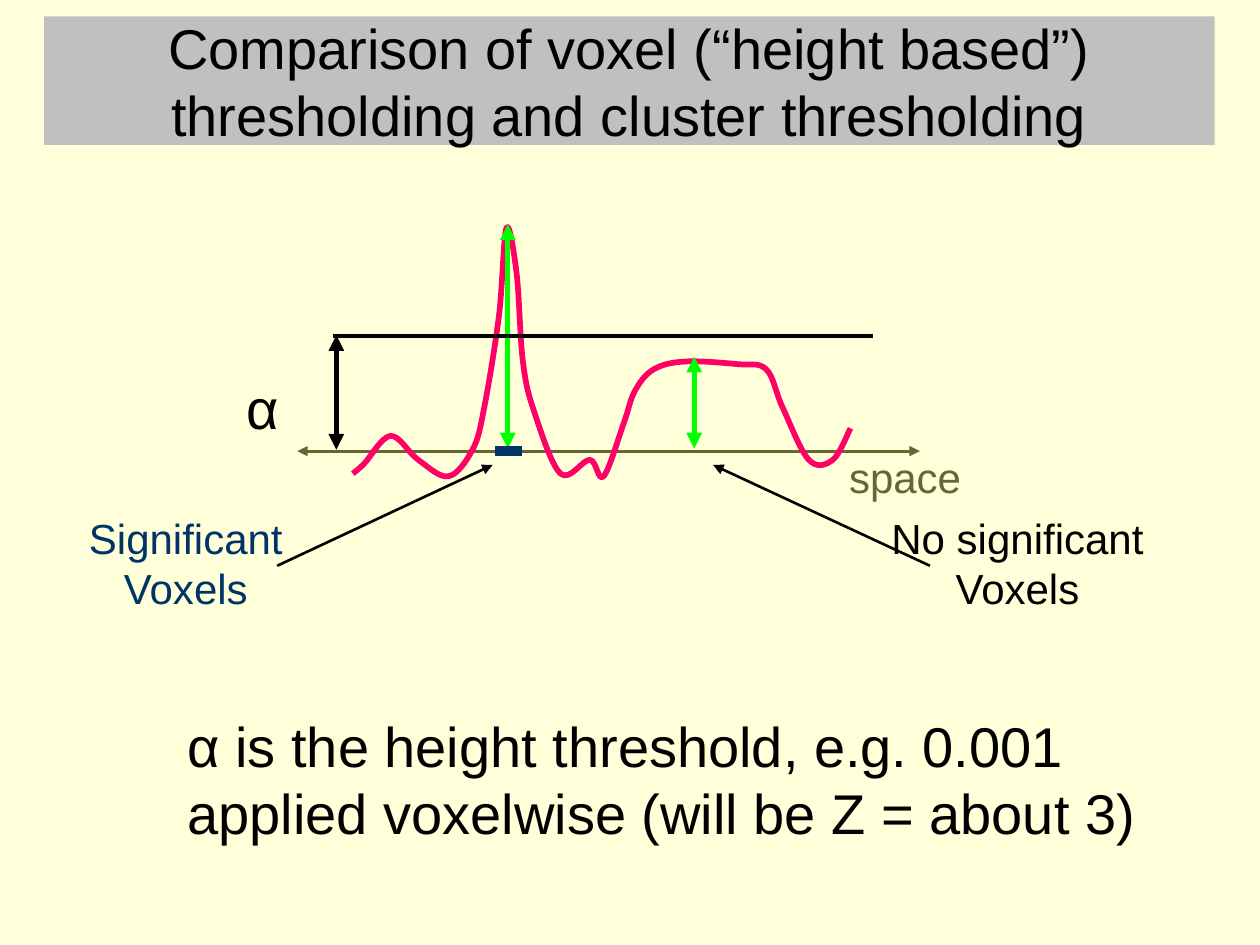
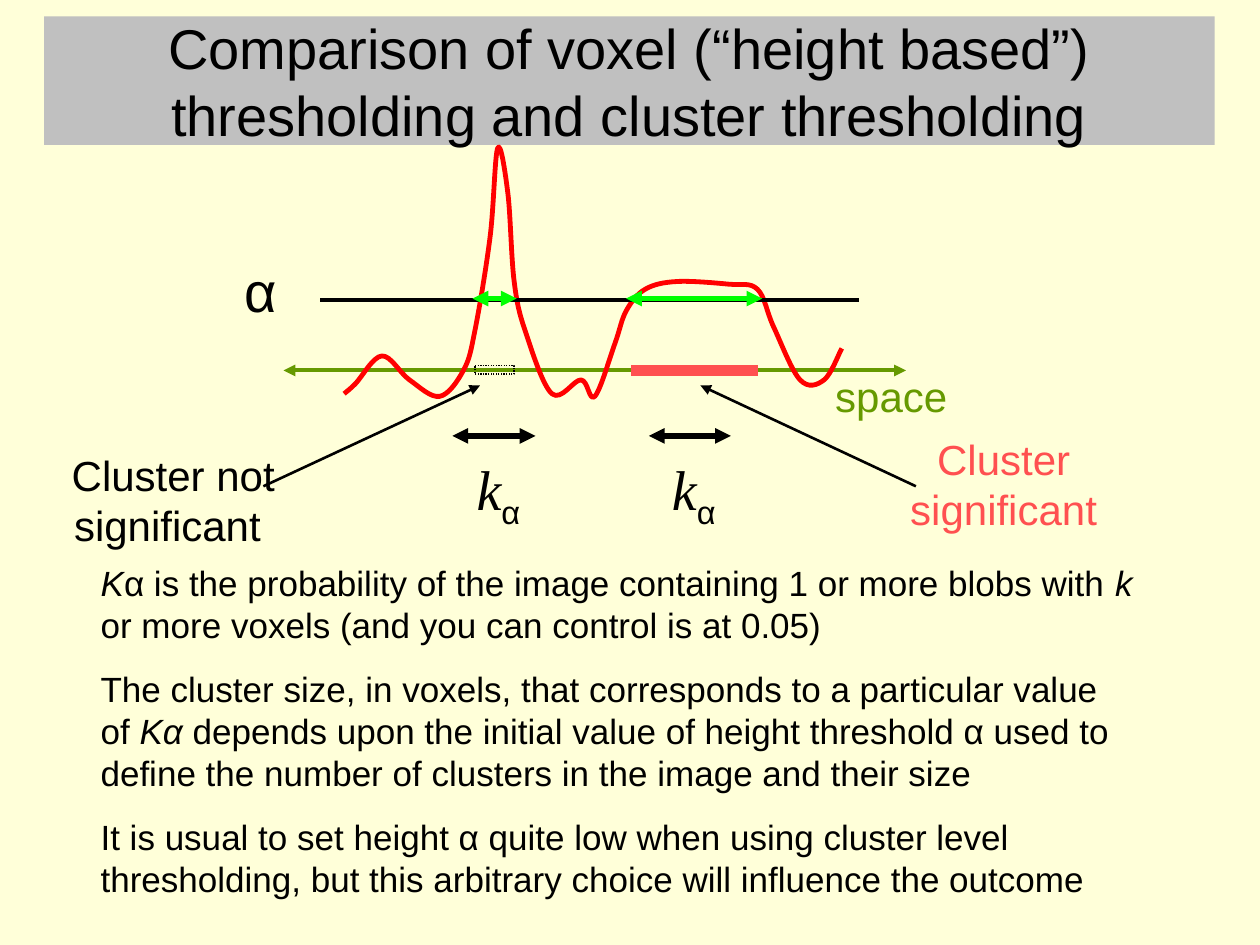
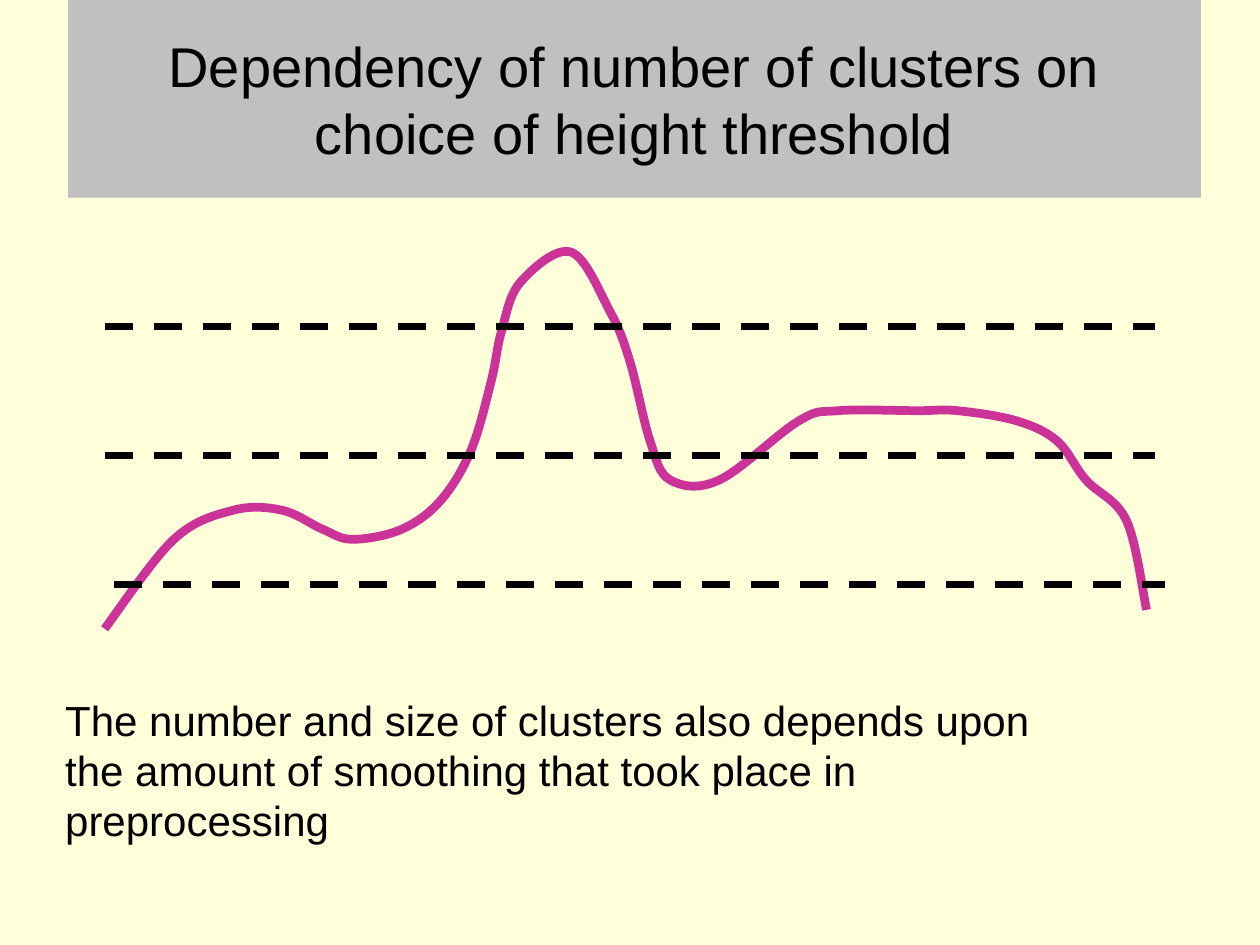
import pptx
import pptx.dml.color
import pptx.enum.dml
import pptx.enum.shapes
import pptx.enum.text
import pptx.oxml
import pptx.oxml.ns
import pptx.util

Pt = pptx.util.Pt
Dash = pptx.enum.dml.MSO_LINE
Align = pptx.enum.text.PP_ALIGN

CREAM, SILVER, BLACK, GREEN = "FFFFD9", "C0C0C0", "000000", "00FF00"
NAVY, OLIVE, LEAF, CORAL = "003366", "666633", "669900", "FF5050"
PINK, RED, PURPLE = "FF0066", "FF0000", "CC3399"

LEFT, CENTER = Align.LEFT, Align.CENTER
BOTH, END, NONE = ("headEnd", "tailEnd"), ("tailEnd",), ()

RUN_STYLES = {
    "italic": {"italic": True},
    "variable": {"italic": True, "name": "Times New Roman"},
    "subscript": {"baseline": "-25000"},
}

SIGNAL = [
    (201.6, 270.7), (208.1, 265), (223.2, 249.1), (239, 262.8), (256.3, 272.2),
    (270, 257), (276.5, 234), (285.1, 180.7), (289.4, 130.3), (295.2, 156.2),
    (298.8, 206.6), (305.3, 235.4), (320.4, 270.7), (337, 262.8), (344.9, 272.2),
    (356.4, 241.9), (362.9, 223.2), (373.7, 211), (391.7, 206.6), (421.2, 208.1),
    (437.8, 211), (447.1, 232.6), (462.2, 262.8), (475.9, 262.8), (486, 244.8),
]
SMOOTH_SIGNAL = [
    (59.8, 359.3), (99.4, 308.2), (133.2, 291.6), (161.3, 291.6), (184.3, 302.4),
    (201.6, 308.2), (229.7, 302.4), (252, 285.8), (269.3, 257), (280.8, 217.4),
    (286.6, 189.4), (297.4, 161.3), (326.2, 144), (348.5, 177.8), (360, 206.6),
    (371.5, 252), (383, 274.3), (411.1, 274.3), (456.5, 240.5), (478.8, 234.7),
    (524.2, 234.7), (547.2, 234.7), (581, 240.5), (604.1, 252), (620.6, 274.3),
    (643.7, 297.4), (655.2, 348.5),
]
COMPARISON = "Comparison of voxel (“height based”) thresholding and cluster thresholding"
COMPARISON_BAND = (25.2, 9.4, 668.9, 73.4)
K_ALPHA = [("k", "variable"), ("α", "subscript")]

# Lines: start x, start y, end x, end y, colour, width, arrowheads
# Texts: left, top, width, height, size, colour, alignment, space before, paragraphs
PAGES = [
    {
        "title": COMPARISON,
        "band": COMPARISON_BAND,
        "lines_below": [
            (158.4, 323.3, 281.5, 265.7, BLACK, 1.5, END),
            (169.9, 257.8, 525.6, 257.8, OLIVE, 1.75, BOTH),
        ],
        "curve": (SIGNAL, 0, 0, PINK, 3.25),
        "lines_above": [
            (290.2, 256.3, 290.2, 128.2, GREEN, 3, BOTH),
            (396.7, 256.3, 396.7, 203.8, GREEN, 3, BOTH),
            (190.1, 192.2, 499, 192.2, BLACK, 2.25, NONE),
            (283, 257.8, 298.1, 257.8, NAVY, 6, NONE),
            (531.4, 323.3, 407.5, 265.7, BLACK, 1.5, END),
            (192.2, 257, 192.2, 191.5, BLACK, 3, BOTH),
        ],
        "texts": [
            (25.9, 289.4, 160.6, 64.8, 24, NAVY, CENTER, 15, ["Significant Voxels"]),
            (478.1, 254.2, 97.9, 36, 24, OLIVE, LEFT, 15, ["space"]),
            (120.2, 210.2, 59.8, 46.1, 32, BLACK, CENTER, 20, ["α"]),
            (501.1, 289.4, 160.6, 64.8, 24, BLACK, CENTER, 15,
             ["No significant Voxels"]),
            (100.1, 403.2, 604.1, 84.2, 32, BLACK, LEFT, 20,
             ["α is the height threshold, e.g. 0.001 applied voxelwise "
              "(will be Z = about 3)"]),
        ],
    },
    {
        "title": COMPARISON,
        "band": COMPARISON_BAND,
        "lines_below": [
            (150.5, 277.9, 274.3, 220.3, BLACK, 1.5, END),
            (162, 211.7, 517.7, 211.7, LEAF, 2.25, BOTH),
        ],
        "curve": (SIGNAL, -5, -45.7, RED, 2.75),
        "lines_above": [
            (182.9, 171.4, 491, 171.4, BLACK, 2.75, NONE),
            (295.2, 170.6, 270, 170.6, GREEN, 3, BOTH),
            (435.6, 170.6, 357.8, 170.6, GREEN, 3, BOTH),
            (523.4, 277.9, 400.3, 220.3, BLACK, 1.5, END),
            (258.5, 249.1, 306, 249.1, BLACK, 3, BOTH),
            (360.7, 211.7, 433.4, 211.7, CORAL, 6, NONE),
            (370.8, 249.1, 417.6, 249.1, BLACK, 3, BOTH),
        ],
        "dotted_box": (271.4, 208.8, 22.3, 5),
        "texts": [
            (18.7, 253.4, 160.6, 64.8, 24, BLACK, CENTER, 12.5,
             ["Cluster not significant "]),
            (470.2, 208.1, 97.9, 36, 24, LEAF, LEFT, 15, ["space"]),
            (493.2, 244.1, 160.6, 64.8, 24, CORAL, CENTER, 15, ["Cluster significant"]),
            (254.9, 256.3, 59.8, 51.1, 32, BLACK, CENTER, 20, [K_ALPHA]),
            (366.5, 256.3, 59.8, 51.1, 32, BLACK, CENTER, 20, [K_ALPHA]),
            (118.8, 143.3, 59.8, 46.1, 32, BLACK, CENTER, 20, ["α"]),
            (50.4, 317.5, 604.1, 236.9, 20, BLACK, LEFT, 12.5, [
                [("K", "italic"),
                 ("α is the probability of the image containing 1 or more blobs with ", ""),
                 ("k", "italic"),
                 (" or more voxels (and you can control is at 0.05)", "")],
                [("The cluster size, in voxels, that corresponds to a particular "
                  "value of ", ""),
                 ("Kα ", "italic"),
                 ("depends upon the initial value of height threshold α used to define "
                  "the number of clusters in the image and their size", "")],
                "It is usual to set height α quite low when using cluster level "
                "thresholding, but this arbitrary choice will influence the outcome",
            ]),
        ],
    },
    {
        "title": "Dependency of number of clusters on choice of height threshold",
        "band": (38.9, 0, 647.3, 113),
        "curve": (SMOOTH_SIGNAL, 0, 0, PURPLE, 5),
        "thresholds": [(59.8, 186.5), (59.8, 260.3), (65.2, 334.1)],
        "texts": [
            (30.2, 393.1, 587.5, 93.6, 24, BLACK, LEFT, 15,
             ["The number and size of clusters also depends upon the amount of "
              "smoothing that took place in preprocessing"]),
        ],
    },
]
THRESHOLD_LENGTH = 600.5


def rgb(color):
    return pptx.dml.color.RGBColor.from_string(color)


def set_line(shape, color, width, dash=None):
    shape.line.color.rgb = rgb(color)
    shape.line.width = Pt(width)
    if dash:
        shape.line.dash_style = dash


def add_rectangle(page, bounds):
    box = page.shapes.add_shape(
        pptx.enum.shapes.MSO_SHAPE.RECTANGLE, *map(Pt, bounds))
    box.shadow.inherit = False
    return box


def add_line(page, x1, y1, x2, y2, color, width, heads=NONE, dash=None):
    line = page.shapes.add_connector(
        pptx.enum.shapes.MSO_CONNECTOR.STRAIGHT, Pt(x1), Pt(y1), Pt(x2), Pt(y2))
    set_line(line, color, width, dash)
    for head in heads:
        line.line._get_or_add_ln().append(
            pptx.oxml.parse_xml(f'<a:{head} {pptx.oxml.ns.nsdecls("a")} type="triangle"/>'))
    line._element.spPr.append(
        pptx.oxml.parse_xml(f'<a:effectLst {pptx.oxml.ns.nsdecls("a")}/>'))


def add_curve(page, knots, shift_x, shift_y, color, width):
    """Draw a Catmull-Rom curve through the knots as cubic segments."""
    points = [(Pt(x + shift_x), Pt(y + shift_y)) for x, y in knots]
    builder = page.shapes.build_freeform(*points[0])
    builder.add_line_segments(points[1:], close=False)
    curve = builder.convert_to_shape()
    curve.shadow.inherit = False
    curve.fill.background()
    set_line(curve, color, width)

    left, top = curve.left, curve.top
    local = [(x - left, y - top) for x, y in points]
    padded = [local[0], *local, local[-1]]
    segments = list(curve._element.iter(pptx.oxml.ns.qn("a:lnTo")))
    for segment, before, start, end, after in zip(
            segments, padded, padded[1:], padded[2:], padded[3:]):
        leaving = [s + (e - b) / 6 for b, s, e in zip(before, start, end)]
        arriving = [e - (a - s) / 6 for s, e, a in zip(start, end, after)]
        corners = "".join(f'<a:pt x="{round(x)}" y="{round(y)}"/>'
                          for x, y in (leaving, arriving, end))
        segment.getparent().replace(segment, pptx.oxml.parse_xml(
            f'<a:cubicBezTo {pptx.oxml.ns.nsdecls("a")}>{corners}</a:cubicBezTo>'))


def write_paragraph(para, content, size, color, align, space_before=0):
    para.alignment = align
    para.space_before = Pt(space_before)
    para.font.name = "Arial"
    para.font.size = Pt(size)
    para.font.color.rgb = rgb(color)
    runs = [(content, "")] if isinstance(content, str) else content
    for text, style in runs:
        span = para.add_run()
        span.text = text
        for name, value in RUN_STYLES.get(style, {}).items():
            if name == "baseline":
                span._r.get_or_add_rPr().set(name, value)
            else:
                setattr(span.font, name, value)


def add_text(page, left, top, width, height, size, color, align, space_before, paragraphs):
    box = page.shapes.add_textbox(Pt(left), Pt(top), Pt(width), Pt(height))
    frame = box.text_frame
    frame.word_wrap = True
    frame.auto_size = pptx.enum.text.MSO_AUTO_SIZE.SHAPE_TO_FIT_TEXT
    for index, content in enumerate(paragraphs):
        para = frame.add_paragraph() if index else frame.paragraphs[0]
        write_paragraph(para, content, size, color, align, space_before)


def add_title(page, title, bounds):
    band = add_rectangle(page, bounds)
    band.fill.solid()
    band.fill.fore_color.rgb = rgb(SILVER)
    band.line.fill.background()
    band.text_frame.word_wrap = True
    band.text_frame.vertical_anchor = pptx.enum.text.MSO_ANCHOR.MIDDLE
    write_paragraph(band.text_frame.paragraphs[0], title, 32, BLACK, CENTER)


def add_page(deck, content):
    page = deck.slides.add_slide(deck.slide_layouts[6])
    add_title(page, content["title"], content["band"])
    for line in content.get("lines_below", []):
        add_line(page, *line)
    add_curve(page, *content["curve"])
    for line in content.get("lines_above", []):
        add_line(page, *line)
    for x, y in content.get("thresholds", []):
        add_line(page, x, y, x + THRESHOLD_LENGTH, y, BLACK, 4, dash=Dash.DASH)
    if "dotted_box" in content:
        box = add_rectangle(page, content["dotted_box"])
        box.fill.background()
        set_line(box, BLACK, 0.75, Dash.ROUND_DOT)
    for text in content["texts"]:
        add_text(page, *text)


def main():
    deck = pptx.Presentation()
    deck.slide_width, deck.slide_height = Pt(720), Pt(540)
    background = deck.slide_master.background.fill
    background.solid()
    background.fore_color.rgb = rgb(CREAM)
    for content in PAGES:
        add_page(deck, content)
    deck.save("out.pptx")


if __name__ == "__main__":
    main()
